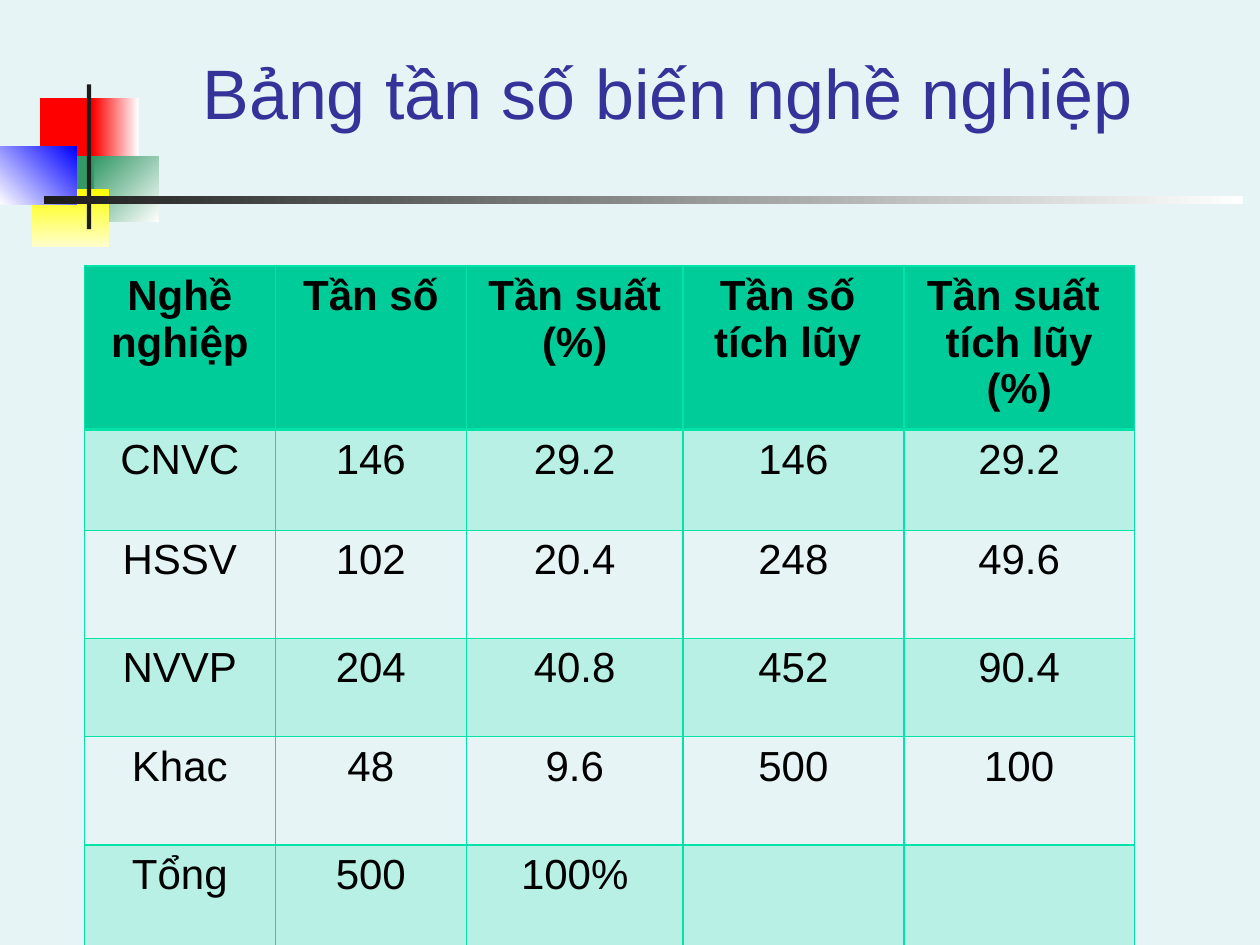
from pptx import Presentation
from pptx.dml.color import RGBColor
from pptx.enum.shapes import MSO_SHAPE
from pptx.enum.text import MSO_ANCHOR, PP_ALIGN
from pptx.oxml import parse_xml
from pptx.oxml.ns import nsdecls
from pptx.util import Cm, Pt

BACKGROUND = RGBColor(0xE7, 0xF4, 0xF5)
RED = RGBColor(0xFF, 0x00, 0x00)
GREEN = RGBColor(0x33, 0x99, 0x66)
YELLOW = RGBColor(0xFF, 0xFF, 0x00)
PALE_YELLOW = RGBColor(0xFF, 0xFF, 0xCC)
BLUE = RGBColor(0x00, 0x00, 0xFF)
WHITE = RGBColor(0xFF, 0xFF, 0xFF)
CHARCOAL = RGBColor(0x1C, 0x1C, 0x1C)
BLACK = RGBColor(0x00, 0x00, 0x00)
INDIGO = RGBColor(0x33, 0x33, 0x99)
HEADER_GREEN = RGBColor(0x00, 0xCC, 0x99)
MINT = RGBColor(0x00, 0xE4, 0xA8)


def format_paragraph(paragraph, size, color, bold=False):
    paragraph.alignment = PP_ALIGN.CENTER
    for run in paragraph.runs:
        run.font.name = "Arial"
        run.font.size = Pt(size)
        run.font.color.rgb = color
        run.font.bold = bold


def add_border(cell, side, width):
    cell._tc.get_or_add_tcPr().append(parse_xml(
        f'<a:{side} {nsdecls("a")} w="{Pt(width)}"><a:solidFill>'
        f'<a:srgbClr val="{MINT}"/></a:solidFill></a:{side}>'))


presentation = Presentation()
presentation.slide_width = Cm(25.4)
presentation.slide_height = Cm(19.05)
slide = presentation.slides.add_slide(presentation.slide_layouts[6])
slide.background.fill.solid()
slide.background.fill.fore_color.rgb = BACKGROUND

ornaments = [
    (0.81, 1.98, 1.22, 1.32, [RED], 0),
    (1.88, 1.98, 0.91, 1.32, [RED, WHITE], 0),
    (1.9, 3.15, 1.3, 1.32, [GREEN, WHITE], 315),
    (1.09, 3.15, 0.81, 1.32, [GREEN], 0),
    (0.64, 3.81, 1.55, 1.17, [YELLOW, PALE_YELLOW], 270),
    (0, 2.95, 1.55, 1.17, [WHITE, BLUE], 45),
    (1.75, 1.7, 0.09, 2.92, [CHARCOAL], 0),
    (0.89, 3.96, 24.16, 0.15, [CHARCOAL, WHITE], 0),
]
for left, top, width, height, colors, angle in ornaments:
    shape = slide.shapes.add_shape(
        MSO_SHAPE.RECTANGLE, Cm(left), Cm(top), Cm(width), Cm(height))
    shape.shadow.inherit = False
    shape.line.fill.background()
    if len(colors) == 1:
        shape.fill.solid()
        shape.fill.fore_color.rgb = colors[0]
    else:
        shape.fill.gradient()
        shape.fill.gradient_angle = angle
        for stop, color in zip(shape.fill.gradient_stops, colors):
            stop.color.rgb = color

title = slide.shapes.add_textbox(Cm(3.2), Cm(-0.84), Cm(20.5), Cm(5.28))
title_frame = title.text_frame
title_frame.word_wrap = True
title_frame.vertical_anchor = MSO_ANCHOR.BOTTOM
title_frame.margin_bottom = Cm(1.75)
title_frame.text = "Bảng tần số biến nghề nghiệp"
format_paragraph(title_frame.paragraphs[0], 40, INDIGO)

rows = [
    ["Nghề nghiệp", "Tần số", "Tần suất\n(%)", "Tần số \ntích lũy ",
     "Tần suất \ntích lũy (%)"],
    ["CNVC", "146", "29.2", "146", "29.2"],
    ["HSSV", "102", "20.4", "248", "49.6"],
    ["NVVP", "204", "40.8", "452", "90.4"],
    ["Khac", "48", "9.6", "500", "100"],
    ["Tổng", "500", "100%", "", ""],
]
column_widths = [3.85, 3.85, 4.37, 4.45, 4.65]
row_heights = [1.85, 2.03, 2.18, 1.98, 2.18, 2.18]
table = slide.shapes.add_table(
    len(rows), len(column_widths), Cm(1.7), Cm(5.36),
    Cm(sum(column_widths)), Cm(sum(row_heights))).table
table.horz_banding = False
for column, width in zip(table.columns, column_widths):
    column.width = Cm(width)
for row, height in zip(table.rows, row_heights):
    row.height = Cm(height)

for row_index, values in enumerate(rows):
    is_header = row_index == 0
    for column_index, value in enumerate(values):
        cell = table.cell(row_index, column_index)
        cell.text_frame.text = value
        for paragraph in cell.text_frame.paragraphs:
            format_paragraph(paragraph, 24, BLACK, is_header)
        for side in ("lnL", "lnR", "lnT", "lnB"):
            add_border(cell, side, 2 if is_header and side == "lnB" else 1)
        if row_index % 2 == 0 and not is_header:
            cell.fill.background()
            continue
        cell.fill.solid()
        cell.fill.fore_color.rgb = HEADER_GREEN if is_header else MINT
        if not is_header:
            color_element = cell._tc.tcPr.find("{*}solidFill/{*}srgbClr")
            color_element.append(
                parse_xml(f'<a:alpha {nsdecls("a")} val="20000"/>'))

presentation.save("out.pptx")
